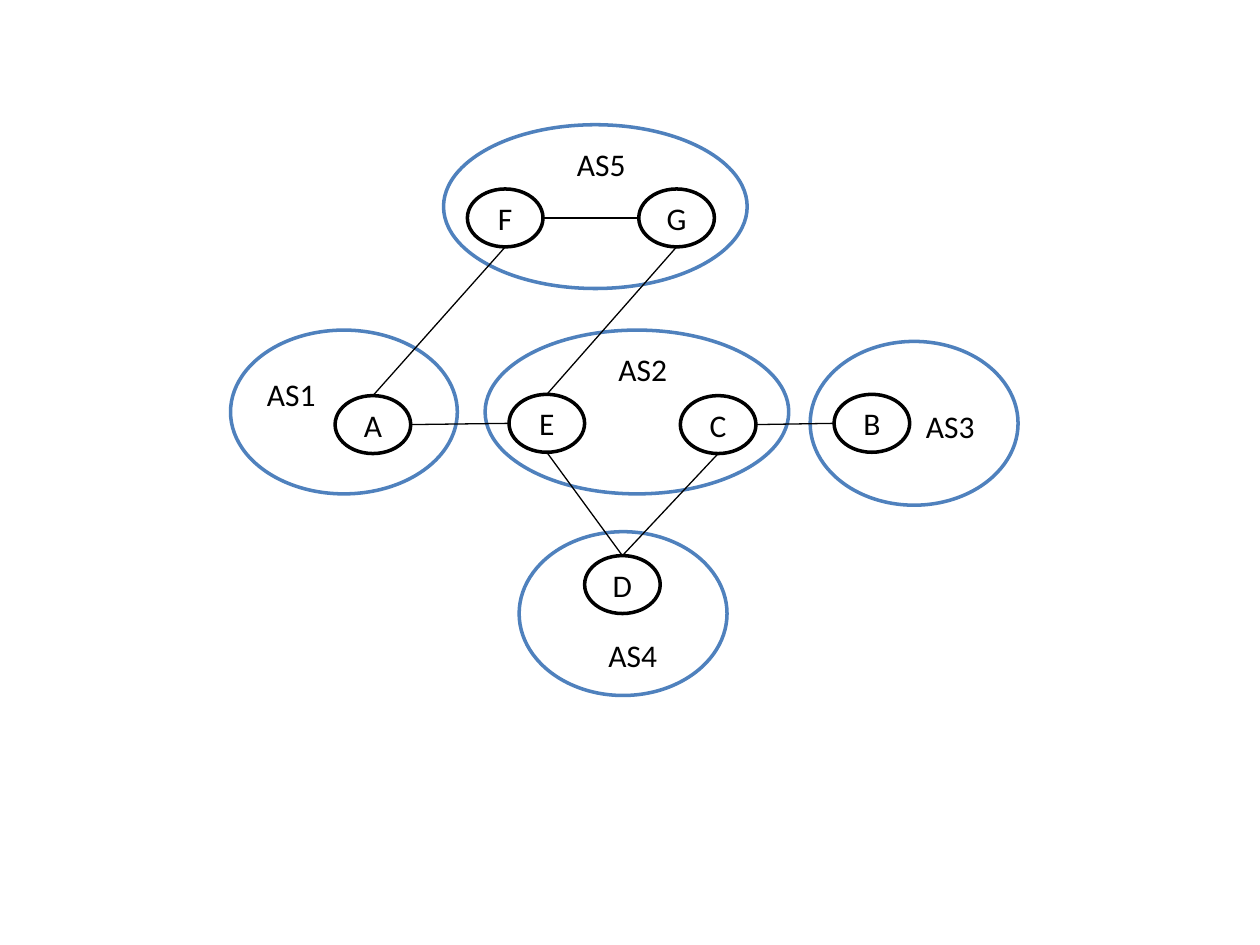
import pptx
import pptx.dml.color
import pptx.enum.shapes
import pptx.enum.text
import pptx.util
import lxml.etree

SLIDE_WIDTH, SLIDE_HEIGHT = 10, 7.5
COLUMNS, ROWS = 100, 75
BLACK, WHITE, BLUE = "000000", "FFFFFF", "4F81BD"
ROUTER_SIZE = (6, 4.6)
LABEL_SIZE = (5.9, 4)

# Boxes are in grid units; label and router offsets start at the system's corner.
SYSTEMS = [
    ("AS1", (18.3, 26.2, 18, 13), (1.9, 3.1), {"A": (8.3, 5.2)}),
    ("AS2", (38.5, 26.2, 24.1, 13), (9.6, 1.1), {"E": (1.9, 5.1), "C": (15.5, 5.2)}),
    ("AS3", (64.3, 27.1, 16.5, 13), (8.2, 4.7), {"B": (1.9, 4.2)}),
    ("AS4", (41.2, 42.2, 16.5, 13), (6.1, 7.8), {"D": (5.2, 1.9)}),
    ("AS5", (35.2, 9.9, 24.1, 13), (9.6, 1.1), {"F": (1.9, 5.1), "G": (15.5, 5.1)}),
]
LINKS = [
    ("A", "right", "E", "left"),
    ("E", "bottom", "D", "top"),
    ("C", "bottom", "D", "top"),
    ("C", "right", "B", "left"),
    ("A", "top", "F", "bottom"),
    ("F", "right", "G", "left"),
    ("E", "top", "G", "bottom"),
]
SIDES = {"left": (0, 0.5), "right": (1, 0.5), "top": (0.5, 0), "bottom": (0.5, 1)}


def color(hex_value):
    """Turn a hex string into a colour."""
    return pptx.dml.color.RGBColor.from_string(hex_value)


def grid(left, top, width, height):
    """Turn a box in columns and rows into slide lengths."""
    column, row = SLIDE_WIDTH / COLUMNS, SLIDE_HEIGHT / ROWS
    return [pptx.util.Inches(value)
            for value in (left * column, top * row, width * column, height * row)]


def write_text(shape, text, *, size=18, font="Calibri", ink=BLACK,
               align=pptx.enum.text.PP_ALIGN.LEFT,
               anchor=pptx.enum.text.MSO_ANCHOR.TOP, wrap=True):
    """Write one formatted paragraph into a shape."""
    frame = shape.text_frame
    frame.word_wrap = wrap
    frame.vertical_anchor = anchor
    paragraph = frame.paragraphs[0]
    paragraph.alignment = align
    run = paragraph.add_run()
    run.text = text
    run.font.size = pptx.util.Pt(size)
    run.font.name = font
    run.font.color.rgb = color(ink)


def add_ellipse(slide, box, line, fill=None):
    """Add an outlined ellipse, filled when a fill is given."""
    shape = slide.shapes.add_shape(pptx.enum.shapes.MSO_SHAPE.OVAL, *grid(*box))
    shape.shadow.inherit = False
    if fill:
        shape.fill.solid()
        shape.fill.fore_color.rgb = color(fill)
    else:
        shape.fill.background()
    shape.line.color.rgb = color(line)
    shape.line.width = pptx.util.Pt(2)
    return shape


def add_system(slide, name, box, label_offset, router_offsets):
    """Draw one autonomous system in its box and return its routers by name."""
    left, top = box[:2]
    add_ellipse(slide, box, BLUE)
    label = slide.shapes.add_textbox(
        *grid(left + label_offset[0], top + label_offset[1], *LABEL_SIZE))
    write_text(label, name, wrap=False)
    label.text_frame.auto_size = pptx.enum.text.MSO_AUTO_SIZE.SHAPE_TO_FIT_TEXT
    routers = {}
    for letter, (across, down) in router_offsets.items():
        router = add_ellipse(slide, (left + across, top + down, *ROUTER_SIZE), BLACK, WHITE)
        write_text(router, letter, align=pptx.enum.text.PP_ALIGN.CENTER,
                   anchor=pptx.enum.text.MSO_ANCHOR.MIDDLE)
        routers[letter] = router
    return routers


def side_point(shape, side):
    """Return the middle of one side of a shape."""
    across, down = SIDES[side]
    return (int(shape.left + across * shape.width),
            int(shape.top + down * shape.height))


def add_link(slide, start, end):
    """Draw a thin line between two points."""
    link = slide.shapes.add_connector(
        pptx.enum.shapes.MSO_CONNECTOR.STRAIGHT, *start, *end)
    link.line.color.rgb = color(BLACK)
    link.line.width = pptx.util.Pt(0.75)
    properties = link.element.spPr
    lxml.etree.SubElement(
        properties, "{http://schemas.openxmlformats.org/drawingml/2006/main}effectLst")


def add_network(slide):
    """Draw all systems, then the links between their routers."""
    routers = {}
    for system in SYSTEMS:
        routers.update(add_system(slide, *system))
    for source, source_side, target, target_side in LINKS:
        add_link(slide, side_point(routers[source], source_side),
                 side_point(routers[target], target_side))


presentation = pptx.Presentation()
presentation.slide_width = pptx.util.Inches(SLIDE_WIDTH)
presentation.slide_height = pptx.util.Inches(SLIDE_HEIGHT)
add_network(presentation.slides.add_slide(presentation.slide_layouts[6]))
presentation.save("out.pptx")
